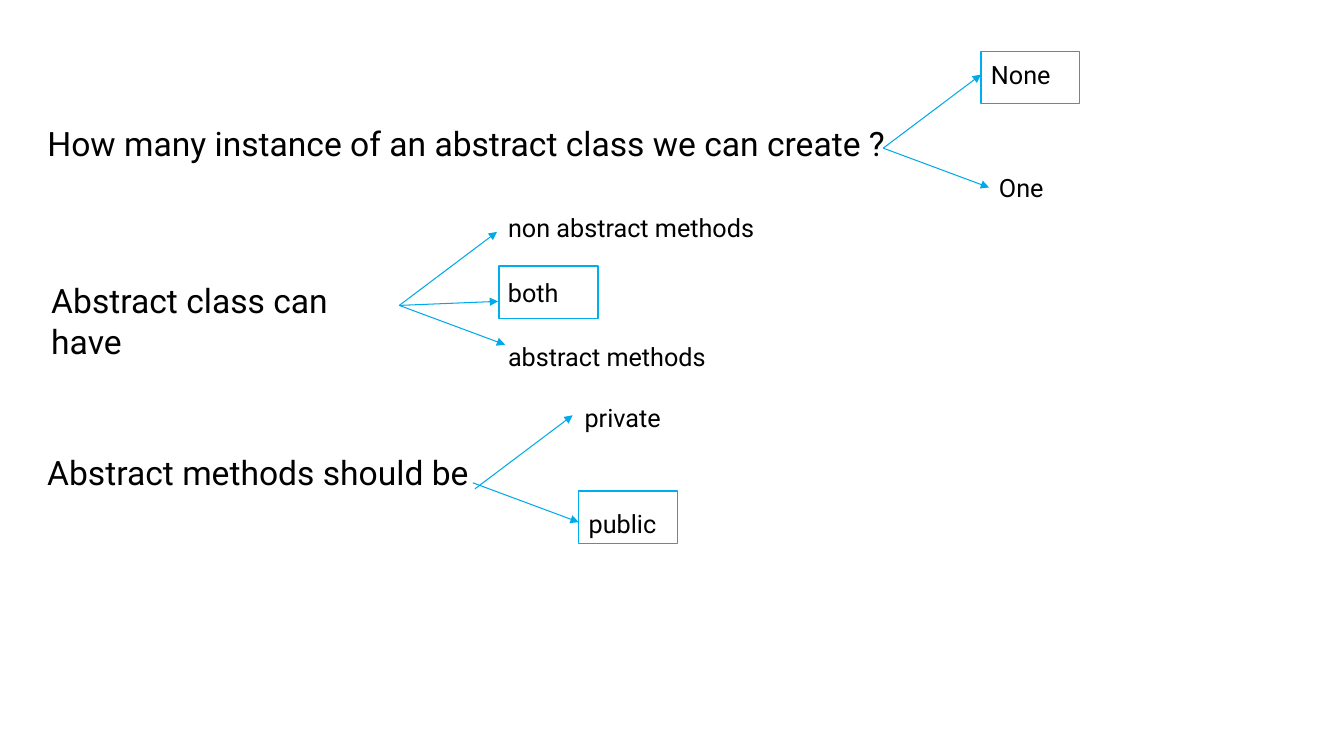
"""Build a quiz slide on abstract classes, with arrows to the choices and frames on the answers."""
from lxml.etree import SubElement as Sub
from pptx import Presentation
from pptx.dml.color import RGBColor as Rgb
from pptx.enum.shapes import MSO_CONNECTOR as Link, MSO_SHAPE as Form
from pptx.enum.text import MSO_ANCHOR as Anchor, MSO_AUTO_SIZE as Fit, PP_ALIGN as Align
from pptx.oxml.ns import qn
from pptx.util import Inches, Pt

THEME = {
    "font": "Roboto", "ask": 24, "pick": 18,
    "ink": "000000", "arrow": "00AAEA", "frame": "00AEEF",
}
TITLE = ("How many instance of an abstract class we can create ?", (0.47, 1.22, 11.61, 0.5))
ASKS = [
    ("Abstract class can have", (0.41, 2.73, 3.62, 0.9)),
    ("Abstract methods should be", (0.37, 4.43, 4.6, 0.5)),
]
PICKS = [
    ("None", (9.73, 0.54, 0.81, 0.4)),
    ("One", (9.81, 1.66, 0.67, 0.4)),
    ("non abstract methods", (4.94, 2.06, 2.71, 0.4)),
    ("both", (4.94, 2.7, 0.73, 0.4)),
    ("abstract methods", (4.94, 3.34, 2.21, 0.4)),
    ("private", (5.7, 3.94, 0.96, 0.4)),
    ("public", (5.74, 4.99, 0.88, 0.4)),
]
STEPS = {"up": (0.97, -0.73), "level": (0.98, -0.04), "down": (1.05, 0.39)}
ARROWS = [
    ((8.76, 1.47), ("up", "down")),
    ((3.96, 3.03), ("up", "level", "down")),
    ((4.71, 4.85), ("up",)),
    ((4.69, 4.79), ("down",)),
]
FRAMES = [(9.73, 0.51), (4.95, 2.64), (5.74, 4.87)]
FRAME = (0.98, 0.52)


def place(shape, area):
    for name, val in zip(("left", "top", "width", "height"), area):
        setattr(shape, name, Inches(val))


def write(shape, text, size, pad=(0.1, 0.05)):
    frame = shape.text_frame
    wide, high = map(Inches, pad)
    look = {
        "word_wrap": True, "auto_size": Fit.NONE, "vertical_anchor": Anchor.TOP,
        "margin_left": wide, "margin_right": wide,
        "margin_top": high, "margin_bottom": high,
    }
    for name, val in look.items():
        setattr(frame, name, val)
    para = frame.paragraphs[0]
    para.alignment = Align.LEFT
    run = para.add_run()
    run.text = text
    for name, val in {"name": THEME["font"], "size": Pt(THEME[size])}.items():
        setattr(run.font, name, val)
    run.font.color.rgb = Rgb.from_string(THEME["ink"])


def label(slide, text, area, size):
    box = slide.shapes.add_textbox(*map(Inches, area))
    write(box, text, size)


def stroke(line, tone, width):
    line.color.rgb = Rgb.from_string(THEME[tone])
    line.width = Pt(width)


def arrow(slide, start, step):
    end = [a + b for a, b in zip(start, STEPS[step])]
    wire = slide.shapes.add_connector(Link.STRAIGHT, *map(Inches, (*start, *end)))
    stroke(wire.line, "arrow", 0.75)
    Sub(wire.line._get_or_add_ln(), qn("a:tailEnd"), type="triangle")
    Sub(wire._element.spPr, qn("a:effectLst"))


def main():
    deck = Presentation()
    deck.slide_width, deck.slide_height = Inches(13.33), Inches(7.5)
    slide = deck.slides.add_slide(deck.slide_layouts[5])
    text, area = TITLE
    title = slide.shapes.title
    place(title, area)
    write(title, text, "ask", (0, 0))
    for size, items in (("ask", ASKS), ("pick", PICKS)):
        for text, area in items:
            label(slide, text, area, size)
    for start, steps in ARROWS:
        for step in steps:
            arrow(slide, start, step)
    for spot in FRAMES:
        box = slide.shapes.add_shape(Form.RECTANGLE, *map(Inches, spot + FRAME))
        box.shadow.inherit = False
        box.fill.background()
        stroke(box.line, "frame", 1)
    deck.save("out.pptx")


if __name__ == "__main__":
    main()
